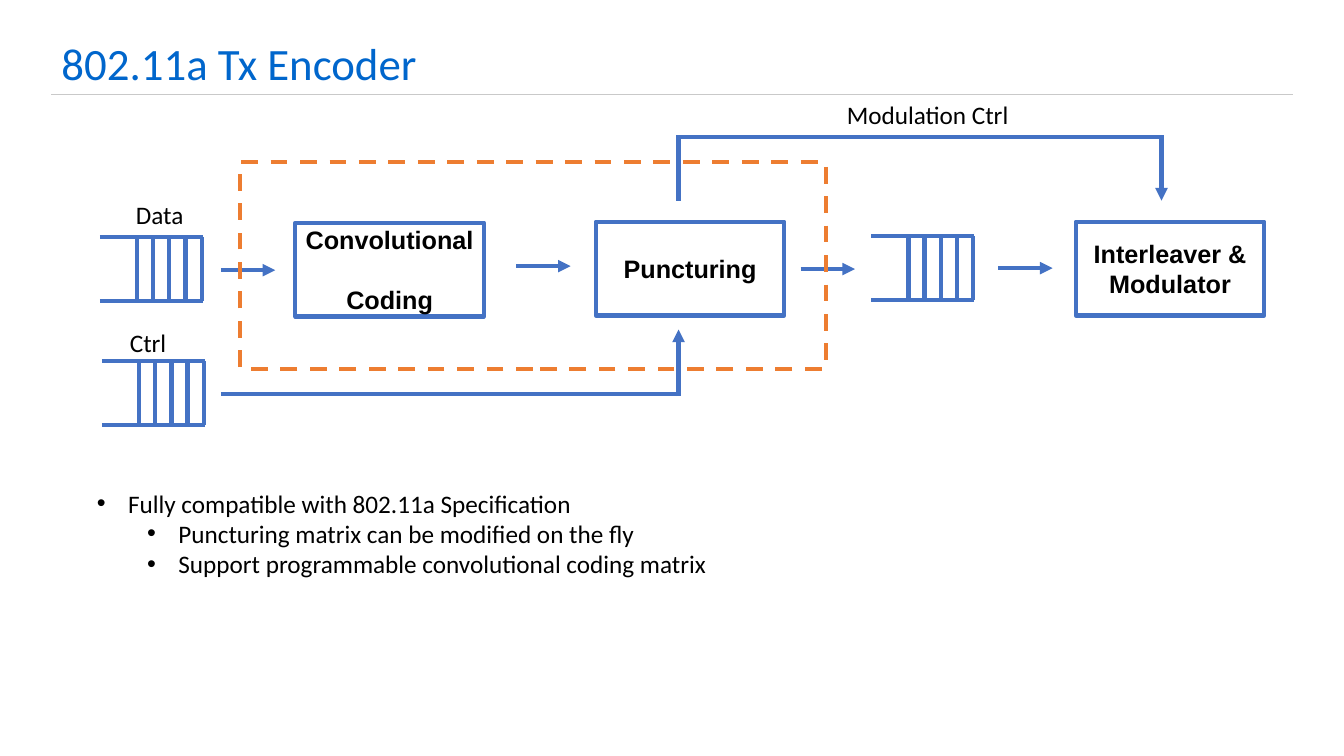
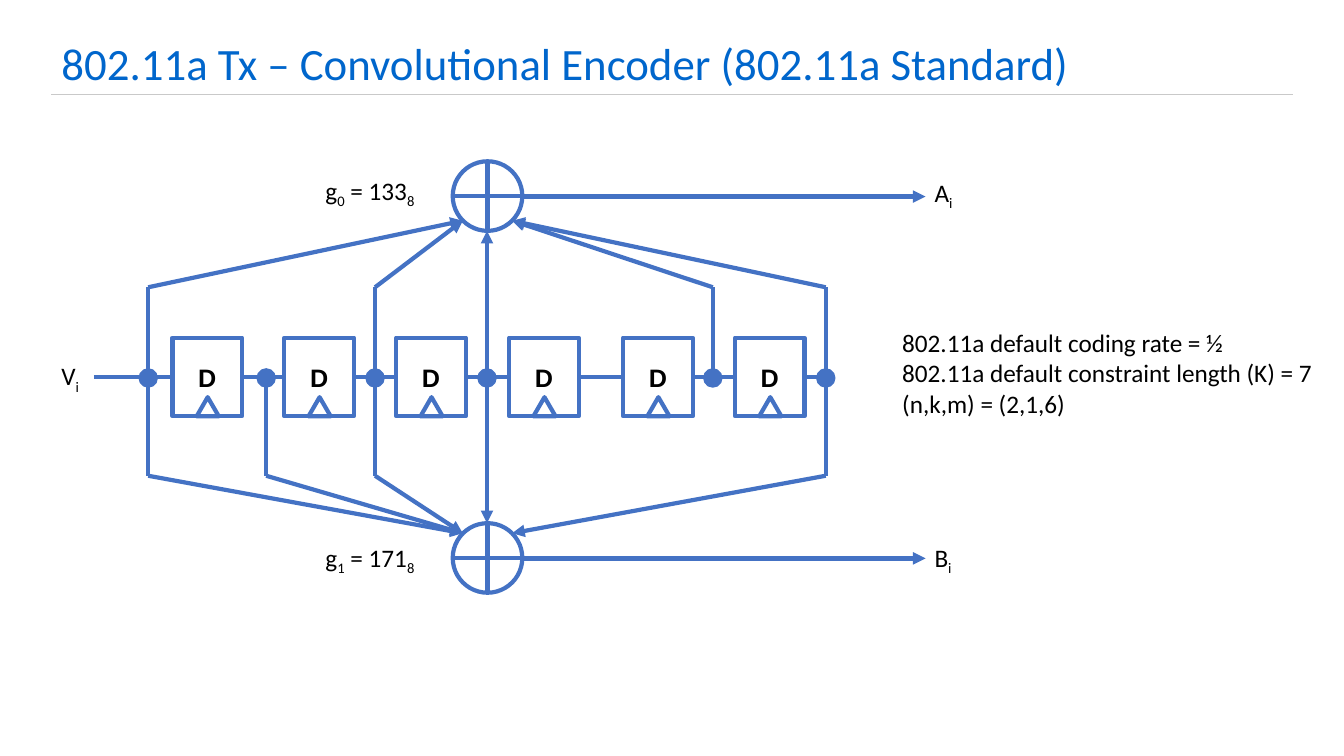
from pptx import Presentation
from pptx.dml.color import RGBColor
from pptx.enum.dml import MSO_LINE
from pptx.enum.shapes import MSO_CONNECTOR, MSO_SHAPE
from pptx.enum.text import MSO_ANCHOR, MSO_AUTO_SIZE, PP_ALIGN
from pptx.oxml.ns import qn
from pptx.util import Emu, Pt
from lxml import etree

EMU_PER_PX = 9144  # 100 px to the inch
BLUE = RGBColor(0x44, 0x72, 0xC4)
ORANGE = RGBColor(0xED, 0x7D, 0x31)
TITLE_BLUE = RGBColor(0x00, 0x66, 0xCC)
RULE_GREY = RGBColor(0xC9, 0xC9, 0xC9)
BLACK = RGBColor(0, 0, 0)

STRAIGHT = MSO_CONNECTOR.STRAIGHT
RECT, TRIANGLE = MSO_SHAPE.RECTANGLE, MSO_SHAPE.ISOSCELES_TRIANGLE
OVAL, ADDER = MSO_SHAPE.OVAL, MSO_SHAPE.FLOWCHART_OR
DASH = MSO_LINE.DASH
TOP, MIDDLE = MSO_ANCHOR.TOP, MSO_ANCHOR.MIDDLE
LEFT, CENTER = PP_ALIGN.LEFT, PP_ALIGN.CENTER
NO_AUTOSIZE = MSO_AUTO_SIZE.NONE
LEFT_SIDE, RIGHT_SIDE = 1, 3
TITLE_AND_CONTENT, TITLE_ONLY = 1, 5


def px(*lengths):
    return [Emu(length * EMU_PER_PX) for length in lengths]


def set_font(paragraph, size=18, color=BLACK, name="Calibri", bold=False):
    font = paragraph.font
    font.size, font.name, font.bold = Pt(size), name, bold
    font.color.rgb = color


# Lines and shapes
def line(shapes, x1, y1, x2, y2, color=BLUE, width=3, ends=()):
    connector = shapes.add_connector(STRAIGHT, *px(x1, y1, x2, y2))
    connector.line.color.rgb = color
    connector.line.width = Pt(width)
    properties = connector._element.spPr
    for end in ends:
        etree.SubElement(properties.get_or_add_ln(), qn("a:" + end), type="triangle")
    etree.SubElement(properties, qn("a:effectLst"))
    return connector


def arrow(shapes, x1, y1, x2, y2):
    return line(shapes, x1, y1, x2, y2, ends=("tailEnd",))


def outline(shapes, kind, x, y, width, height, color=BLUE):
    shape = shapes.add_shape(kind, *px(x, y, width, height))
    shape.shadow.inherit = False
    shape.fill.background()
    shape.line.color.rgb = color
    shape.line.width = Pt(3)
    return shape


def block(shapes, x, y, width, height, caption):
    shape = outline(shapes, RECT, x, y, width, height)
    frame = shape.text_frame
    frame.word_wrap = True
    frame.vertical_anchor = MIDDLE
    paragraph = frame.paragraphs[0]
    paragraph.text = caption
    paragraph.alignment = CENTER
    set_font(paragraph, name="Arial", bold=True)
    return shape


def text(shapes, x, y, width, height, *rows):
    """Write one paragraph per row; an underscore lowers the next letter."""
    frame = shapes.add_textbox(*px(x, y, width, height)).text_frame
    frame.word_wrap = True
    for index, row in enumerate(rows):
        paragraph = frame.add_paragraph() if index else frame.paragraphs[0]
        set_font(paragraph)
        plain, *lowered = row.split("_")
        paragraph.add_run().text = plain
        for part in lowered:
            subscript = paragraph.add_run()
            subscript.text = part[0]
            subscript._r.get_or_add_rPr().set("baseline", "-25000")
            if part[1:]:
                paragraph.add_run().text = part[1:]


# Placeholders
def prepare(placeholder, x, y, width, height):
    placeholder.left, placeholder.top, placeholder.width, placeholder.height = px(
        x, y, width, height)
    frame = placeholder.text_frame
    frame.auto_size = NO_AUTOSIZE
    frame.word_wrap = True
    frame.vertical_anchor = TOP
    return frame


def titled_slide(deck, layout, heading):
    slide = deck.slides.add_slide(deck.slide_layouts[layout])
    title = prepare(slide.shapes.title, 51, 30, 1231, 64).paragraphs[0]
    title.text = heading
    title.alignment = LEFT
    set_font(title, size=32, color=TITLE_BLUE)
    line(slide.shapes, 51, 94, 1282, 94, RULE_GREY, 0.75)
    return slide


def bullet_list(placeholder, items):
    frame = prepare(placeholder, 86, 479, 632, 121)
    for index, (level, item) in enumerate(items):
        paragraph = frame.add_paragraph() if index else frame.paragraphs[0]
        paragraph.text = item
        paragraph.level = level
        paragraph.space_before = Pt(0)
        set_font(paragraph)
        indent, hanging = px(31 + 50 * level, -31)
        properties = paragraph._p.get_or_add_pPr()
        properties.set("marL", str(indent))
        properties.set("indent", str(hanging))
        bullet = etree.Element(qn("a:buChar"), char="•")
        properties.find(qn("a:defRPr")).addprevious(bullet)


# Diagram parts
def queue(shapes, x, y):
    parts = shapes.add_group_shape().shapes
    for rail in (y, y + 64):
        line(parts, x, rail, x + 102, rail)
    for slot in range(5):
        bar = x + 37 + 16 * slot
        line(parts, bar, y, bar, y + 64)


def flip_flop(shapes, x):
    parts = shapes.add_group_shape().shapes
    register = block(parts, x, 335, 69, 78, "D")
    outline(parts, TRIANGLE, x + 24, 394, 22, 19)
    return register


def tap_dot(shapes, x):
    dot = outline(shapes, OVAL, x - 9, 366, 18, 18)
    dot.fill.solid()
    dot.fill.fore_color.rgb = BLUE
    dot.line.width = Pt(1)


def tx_encoder(deck):
    slide = titled_slide(deck, TITLE_AND_CONTENT, "802.11a Tx Encoder")
    shapes = slide.shapes

    # Processing chain
    for x, y in ((99, 235), (864, 234), (101, 358)):
        queue(shapes, x, y)
    for x, y, caption in ((293, 221, "Convolutional \nCoding"),
                          (591, 220, "Puncturing"),
                          (1067, 220, "Interleaver & Modulator")):
        block(shapes, x, y, 187, 93, caption)
    for x, y in ((219, 268), (512, 264), (794, 267), (990, 266)):
        arrow(shapes, x, y, x + 54, y)

    # Control paths
    line(shapes, 219, 391, 673, 391)
    arrow(shapes, 673, 393, 673, 327)
    line(shapes, 673, 199, 673, 134)
    line(shapes, 671, 136, 1152, 136)
    arrow(shapes, 1152, 134, 1152, 199)

    # Labels and encoder boundary
    text(shapes, 830, 94, 182, 40, "Modulation Ctrl")
    text(shapes, 119, 320, 60, 40, "Ctrl")
    text(shapes, 125, 193, 74, 40, "Data")
    boundary = outline(shapes, RECT, 238, 161, 581, 205, ORANGE)
    boundary.line.dash_style = DASH

    bullet_list(slide.placeholders[1], (
        (0, "Fully compatible with 802.11a Specification"),
        (1, "Puncturing matrix can be modified on the fly"),
        (1, "Support programmable convolutional coding matrix")))


def convolutional_encoder(deck):
    shapes = titled_slide(
        deck, TITLE_ONLY,
        "802.11a Tx – Convolutional Encoder (802.11a Standard)").shapes
    wire_y, upper_knee, lower_knee = 374, 285, 472
    center_tap = 483

    # Shift register
    registers = [flip_flop(shapes, x) for x in (171, 282, 393, 505, 618, 729)]
    for before, after in zip(registers, registers[1:]):
        wire = line(shapes, 0, wire_y, 0, wire_y)
        wire.begin_connect(before, RIGHT_SIDE)
        wire.end_connect(after, LEFT_SIDE)
    line(shapes, 93, wire_y, 171, wire_y).end_connect(registers[0], LEFT_SIDE)
    line(shapes, 798, wire_y, 819, wire_y).begin_connect(registers[-1], RIGHT_SIDE)

    # Adders and outputs
    for top in (160, 519):
        outline(shapes, ADDER, 449, top, 69, 69)
        arrow(shapes, 518, top + 35, 918, top + 35)

    # Taps: position, feeds upper adder, feeds lower adder
    taps = ((147, True, True), (264, False, True), (372, True, True),
            (707, True, False), (819, True, True))
    for x, feeds_upper, feeds_lower in taps:
        adder_x = 459 if x < center_tap else 508
        line(shapes, x, upper_knee if feeds_upper else wire_y,
             x, lower_knee if feeds_lower else wire_y)
        if feeds_upper:
            arrow(shapes, x, upper_knee, adder_x, 219)
        if feeds_lower:
            arrow(shapes, x, lower_knee, adder_x, 529)
        tap_dot(shapes, x)
    line(shapes, center_tap, 229, center_tap, 519, ends=("headEnd", "tailEnd"))
    tap_dot(shapes, center_tap)

    # Labels
    for x, y, width, label in ((313, 169, 116, "g_0 = 133_8"),
                               (313, 533, 116, "g_1 = 171_8"),
                               (917, 171, 39, "A_i"),
                               (917, 533, 39, "B_i"),
                               (51, 353, 39, "V_i")):
        text(shapes, x, y, width, 40, label)
    text(shapes, 885, 320, 432, 121,
         "802.11a default coding rate = ½",
         "802.11a default constraint length (K) = 7",
         "(n,k,m) = (2,1,6)")


def main():
    deck = Presentation()
    deck.slide_width, deck.slide_height = px(1333, 750)
    tx_encoder(deck)
    convolutional_encoder(deck)
    deck.save("out.pptx")


if __name__ == "__main__":
    main()
